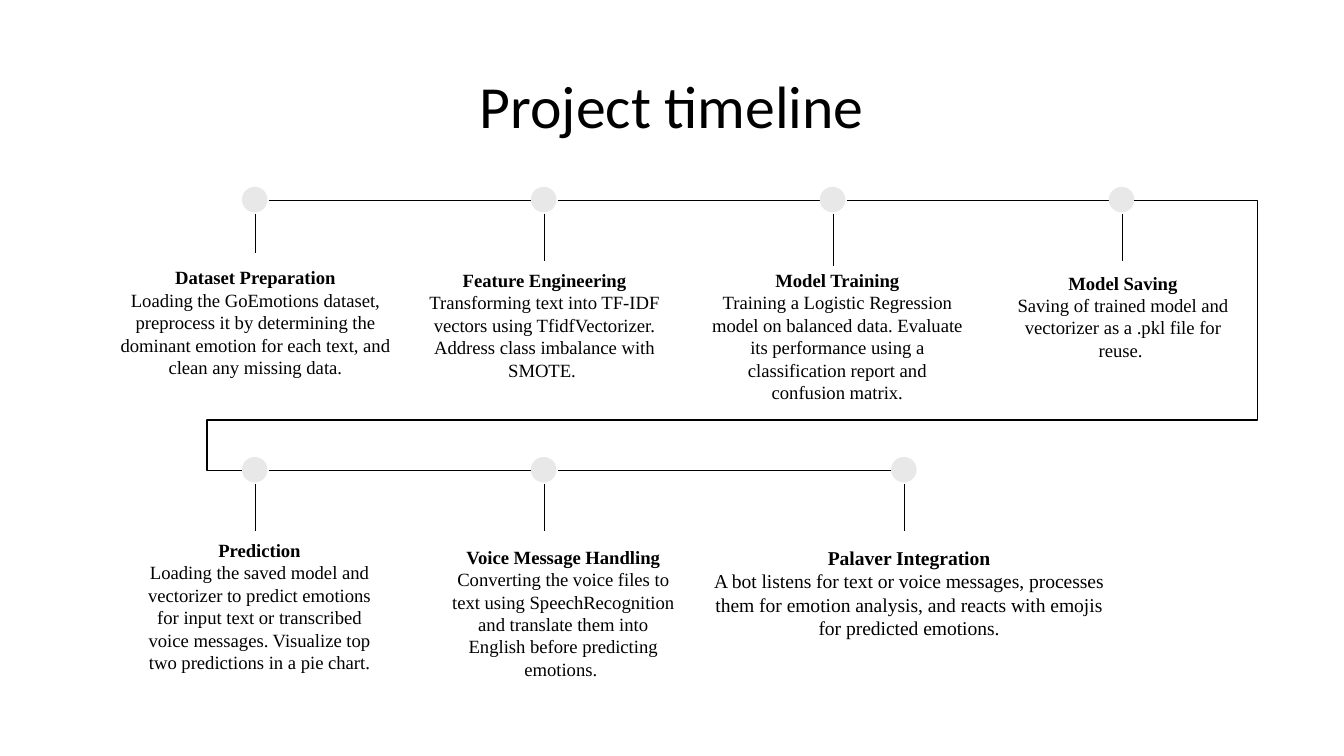
from lxml import etree
from pptx import Presentation
from pptx.dml.color import RGBColor
from pptx.enum.shapes import MSO_CONNECTOR, MSO_SHAPE
from pptx.enum.text import MSO_ANCHOR, MSO_AUTO_SIZE, PP_ALIGN
from pptx.oxml.ns import qn
from pptx.util import Emu, Pt

STRAIGHT, ELBOW = MSO_CONNECTOR.STRAIGHT, MSO_CONNECTOR.ELBOW
OVAL = MSO_SHAPE.OVAL
TOP = MSO_ANCHOR.TOP
CENTER = PP_ALIGN.CENTER
NO_RESIZE = MSO_AUTO_SIZE.NONE

EMU_PER_PX = 9144
TITLE_ONLY = 5
DOT = 19
RADIUS = 10
BLACK, GRAY = "000000", "E8E8E8"

FIRST_ROW = [
    (0, 29, (-102, 49, 224, 93), 10, 10, "Dataset Preparation",
     "Loading the GoEmotions dataset, preprocess it by determining the dominant "
     "emotion for each text, and clean any missing data."),
    (215, 35, (109, 56, 232, 94), 5, 10, "Feature Engineering",
     "Transforming text into TF-IDF vectors using TfidfVectorizer. "
     "Address class imbalance with SMOTE. "),
    (430, 39, (338, 56, 210, 128), 5, 10, "Model Training",
     "Training a Logistic Regression model on balanced data. Evaluate its "
     "performance using a classification report and confusion matrix."),
    (645, 35, (564, 58, 183, 77), 5, 10, "Model Saving",
     "Saving of trained model and vectorizer as a .pkl file for reuse. "),
]
SECOND_ROW = [
    (0, 35, (-86, 56, 198, 111), 5, 10, "Prediction",
     "Loading the saved model and vectorizer to predict emotions for input text or "
     "transcribed voice messages. Visualize top two predictions in a pie chart."),
    (215, 35, (145, 61, 188, 111), 5, 10, "Voice Message Handling",
     "Converting the voice files to text using SpeechRecognition and translate "
     "them into English before predicting emotions. "),
    (483, 35, (338, 61, 317, 81), 5, 10.5, "Palaver Integration",
     "A bot listens for text or voice messages, processes them for emotion "
     "analysis, and reacts with emojis for predicted emotions."),
]


def px(value):
    return Emu(value * EMU_PER_PX)


def color(hex_value):
    return RGBColor.from_string(hex_value)


def add_line(page, start, end, kind=STRAIGHT):
    line = page.shapes.add_connector(kind, *map(px, start + end))
    line.line.color.rgb = color(BLACK)
    line.line.width = Pt(0.75)
    etree.SubElement(line._element.spPr, qn("a:effectLst"))
    return line


def add_title(page, left, top, width, height):
    title = page.shapes.title
    title.left, title.top = px(left), px(top)
    title.width, title.height = px(width), px(height)
    frame = title.text_frame
    frame.text = "Project timeline"
    frame.auto_size = NO_RESIZE
    frame.vertical_anchor = TOP
    frame.margin_top = frame.margin_bottom = px(10)
    para = frame.paragraphs[0]
    para.alignment = CENTER
    para.line_spacing = 0.9
    for span in para.runs:
        span.font.name = "Calibri"
        span.font.size = Pt(32)
        span.font.color.rgb = color(BLACK)


def add_description(page, left, top, width, height, inset, size, heading, body):
    box = page.shapes.add_textbox(px(left), px(top), px(width), px(height))
    frame = box.text_frame
    frame.word_wrap = True
    frame.margin_top = frame.margin_bottom = px(inset)
    para = frame.paragraphs[0]
    para.text = heading + "\v" + body
    para.alignment = CENTER
    for span in para.runs:
        span.font.name = "Times New Roman"
        span.font.size = Pt(size)
        span.font.color.rgb = color(BLACK)
        span.font.bold = span.text == heading


def add_row(page, left, top, stages):
    axis = top + RADIUS
    centers = [left + stage[0] + RADIUS for stage in stages]
    for start, end in zip(centers, centers[1:]):
        add_line(page, (start + RADIUS, axis), (end - RADIUS, axis))
    for center, (offset, stem, area, inset, size, heading, body) in zip(centers, stages):
        dot = page.shapes.add_shape(OVAL, px(left + offset), px(top), px(DOT), px(DOT))
        dot.shadow.inherit = False
        dot.fill.solid()
        dot.fill.fore_color.rgb = color(GRAY)
        dot.line.fill.background()
        add_line(page, (center, axis + RADIUS), (center, axis + RADIUS + stem))
        x, y, width, height = area
        add_description(page, left + x, top + y, width, height, inset, size, heading, body)


def add_return_line(page, start, end):
    line = add_line(page, start, end, ELBOW)
    geometry = line._element.spPr.find(qn("a:prstGeom"))
    geometry.set("prst", "bentConnector5")
    guides = geometry.find(qn("a:avLst"))
    for number, value in enumerate((-13800, 81300, 103900), 1):
        guide = etree.SubElement(guides, qn("a:gd"))
        guide.set("name", f"adj{number}")
        guide.set("fmla", f"val {value}")


def main():
    deck = Presentation()
    deck.slide_width = px(1000)
    deck.slide_height = Emu(deck.slide_width * 9 // 16)
    page = deck.slides.add_slide(deck.slide_layouts[TITLE_ONLY])
    add_title(page, 69, 47, 862, 109)
    add_row(page, 180, 139, FIRST_ROW)
    add_row(page, 180, 340, SECOND_ROW)
    add_return_line(page, (844, 149), (180, 350))
    deck.save("out.pptx")


if __name__ == "__main__":
    main()
